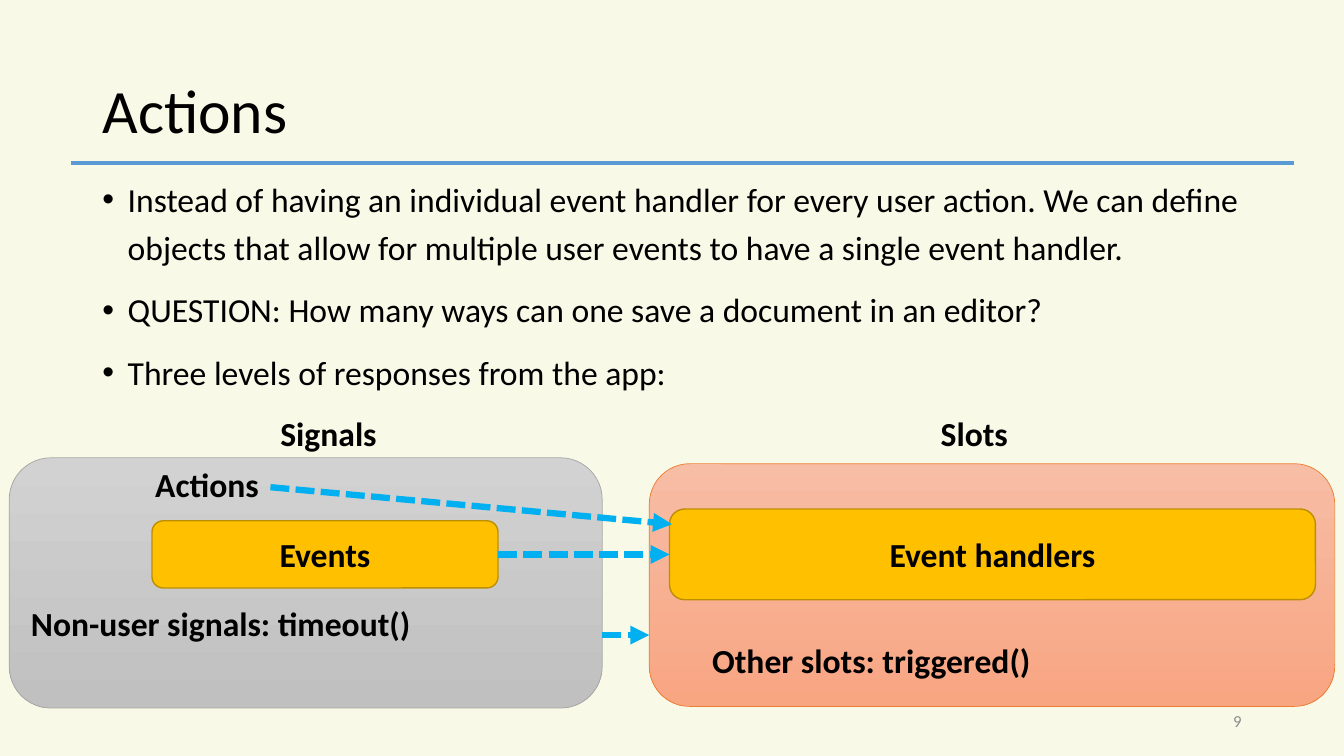
from dataclasses import dataclass
from typing import Optional

from lxml.etree import SubElement
from pptx import Presentation
from pptx.dml.color import RGBColor
from pptx.enum.dml import MSO_LINE
from pptx.enum.shapes import MSO_CONNECTOR, MSO_SHAPE
from pptx.enum.text import MSO_ANCHOR as Anchor, MSO_AUTO_SIZE as AutoSize, PP_ALIGN as Align
from pptx.oxml.ns import qn
from pptx.util import Emu, Inches, Pt

COLUMNS, ROWS = 160, 90
BLACK, SKY = "000000", "00B0F0"
BOLD = {"name": "Calibri", "size": Pt(24), "bold": True}
HEADING_ROW = 48.6

BULLETS = (
    "Instead of having an individual event handler for every user action. "
    "We can define objects that allow for multiple user events to have a single event handler.",
    "QUESTION: How many ways can one save a document in an editor?",
    "Three levels of responses from the app:",
)


@dataclass(frozen=True)
class Area:
    """A place on the slide, in grid columns and rows."""
    col: float
    row: float
    cols: float
    rows: float


@dataclass(frozen=True)
class Box:
    area: Area
    fills: tuple[str, ...]
    outline: str
    weight: float
    label: Optional[str] = None


@dataclass(frozen=True)
class Label:
    wording: str
    area: Area


@dataclass(frozen=True)
class Route:
    """A straight line between two grid points."""
    start: tuple[float, float]
    end: tuple[float, float]


SIGNALS_PANEL = Box(Area(1.1, 54.5, 70.6, 29.8), ("D2D2D2", "C0C0C0"), "A5A5A5", 0.5)
SLOTS_PANEL = Box(Area(77.3, 55.2, 81.6, 28.9), ("F7BDA5", "F8A582"), "ED7D31", 0.5)
EVENTS = Box(Area(18.1, 62, 41.2, 8), ("FFC000",), "BD8E00", 1, "Events")
HANDLERS = Box(Area(79.7, 60.6, 76.9, 10.8), ("FFC000",), "BD8E00", 1, "Event handlers")

LABELS = (
    Label("Signals", Area(32.2, HEADING_ROW, 15, 6)),
    Label("Slots", Area(110.8, HEADING_ROW, 28.3, 6)),
    Label("Actions", Area(17.3, 54.6, 16.1, 6)),
    Label("Non-user signals: timeout()", Area(2.5, 71.2, 50.3, 6)),
    Label("Other slots: triggered()", Area(83.6, 75.6, 47.4, 6)),
)

UNDERLINE = Route((8.5, 19.4), (154, 19.4))
ACTIONS_TO_HANDLERS = Route((32.2, 58), (80, 62.4))
EVENTS_TO_HANDLERS = Route((59.3, 66), (79.7, 66))
SIGNALS_TO_SLOTS = Route((71.7, 75.6), (77.3, 75.6))

deck = Presentation()
deck.slide_width, deck.slide_height = Inches(13.33), Inches(7.5)
slide = deck.slides.add_slide(deck.slide_layouts[1])


def across(cols: float) -> Emu:
    return Emu(round(deck.slide_width * cols / COLUMNS))


def down(rows: float) -> Emu:
    return Emu(round(deck.slide_height * rows / ROWS))


def bounds(area: Area) -> tuple[Emu, Emu, Emu, Emu]:
    return across(area.col), down(area.row), across(area.cols), down(area.rows)


def paint(colour, code: str) -> None:
    colour.rgb = RGBColor.from_string(code)


def apply(target, values: dict) -> None:
    for key, value in values.items():
        setattr(target, key, value)


def write(paragraph, wording: str, font: dict, colour: str = BLACK, **layout) -> None:
    paragraph.text = wording
    apply(paragraph, layout)
    apply(paragraph.font, font)
    paint(paragraph.font.color, colour)


def place(shape, area: Area) -> None:
    apply(shape, dict(zip(("left", "top", "width", "height"), bounds(area))))


def add_bullet(paragraph) -> None:
    props = paragraph._p.get_or_add_pPr()
    props.set("marL", str(Inches(0.25)))
    props.set("indent", str(Inches(-0.25)))
    SubElement(props, qn("a:buFont"), typeface="Arial")
    SubElement(props, qn("a:buChar"), char="•")


def add_box(box: Box):
    shape = slide.shapes.add_shape(MSO_SHAPE.ROUNDED_RECTANGLE, *bounds(box.area))
    shape.shadow.inherit = False
    if len(box.fills) > 1:
        shape.fill.gradient()
        shape.fill.gradient_angle = 270
        for stop, code in zip(shape.fill.gradient_stops, box.fills):
            paint(stop.color, code)
    else:
        shape.fill.solid()
        paint(shape.fill.fore_color, box.fills[0])
    paint(shape.line.color, box.outline)
    shape.line.width = Pt(box.weight)
    if box.label:
        shape.text_frame.vertical_anchor = Anchor.MIDDLE
        write(shape.text_frame.paragraphs[0], box.label, BOLD, alignment=Align.CENTER)
    return shape


def add_text(label: Label, font: dict, colour: str = BLACK, align: Align = Align.LEFT,
             anchor: Anchor = Anchor.TOP) -> None:
    frame = slide.shapes.add_textbox(*bounds(label.area)).text_frame
    apply(frame, {"word_wrap": True, "vertical_anchor": anchor})
    write(frame.paragraphs[0], label.wording, font, colour, alignment=align)


def add_line(route: Route, colour: str, weight: float):
    (col, row), (end_col, end_row) = route.start, route.end
    line = slide.shapes.add_connector(
        MSO_CONNECTOR.STRAIGHT, across(col), down(row), across(end_col), down(end_row))
    paint(line.line.color, colour)
    line.line.width = Pt(weight)
    SubElement(line._element.spPr, qn("a:effectLst"))
    return line


def add_arrow(route: Route):
    arrow = add_line(route, SKY, 4.5)
    arrow.line.dash_style = MSO_LINE.SQUARE_DOT
    SubElement(arrow.line._get_or_add_ln(), qn("a:tailEnd"), type="triangle")
    return arrow


def main() -> None:
    slide.background.fill.solid()
    paint(slide.background.fill.fore_color, "F8F9E7")

    title, body = slide.shapes.title, slide.placeholders[1]
    place(title, Area(11, 4.8, 138, 17.4))
    apply(title.text_frame, {"vertical_anchor": Anchor.MIDDLE, "auto_size": AutoSize.NONE})
    write(title.text_frame.paragraphs[0], "Actions", {"name": "Calibri", "size": Pt(44)},
          alignment=Align.LEFT, line_spacing=0.9)

    place(body, Area(11, 19.7, 149, 29))
    body.text_frame.auto_size = AutoSize.NONE
    for index, wording in enumerate(BULLETS):
        point = body.text_frame.paragraphs[0] if index == 0 else body.text_frame.add_paragraph()
        add_bullet(point)
        write(point, wording, {"name": "Calibri", "size": Pt(24)}, line_spacing=1.2,
              space_before=Pt(10 if index else 0))

    add_text(Label("9", Area(113, 83.4, 36, 4.8)), {"name": "Calibri", "size": Pt(12)},
             "8C8C8C", Align.RIGHT, Anchor.MIDDLE)
    add_line(UNDERLINE, "5B9BD5", 3)

    for panel in (SIGNALS_PANEL, SLOTS_PANEL):
        add_box(panel)
    events, handlers = add_box(EVENTS), add_box(HANDLERS)
    for label in LABELS:
        add_text(label, BOLD)

    add_arrow(ACTIONS_TO_HANDLERS)
    add_arrow(SIGNALS_TO_SLOTS)
    handling = add_arrow(EVENTS_TO_HANDLERS)
    handling.begin_connect(events, 3)
    handling.end_connect(handlers, 1)

    deck.save("out.pptx")


if __name__ == "__main__":
    main()
